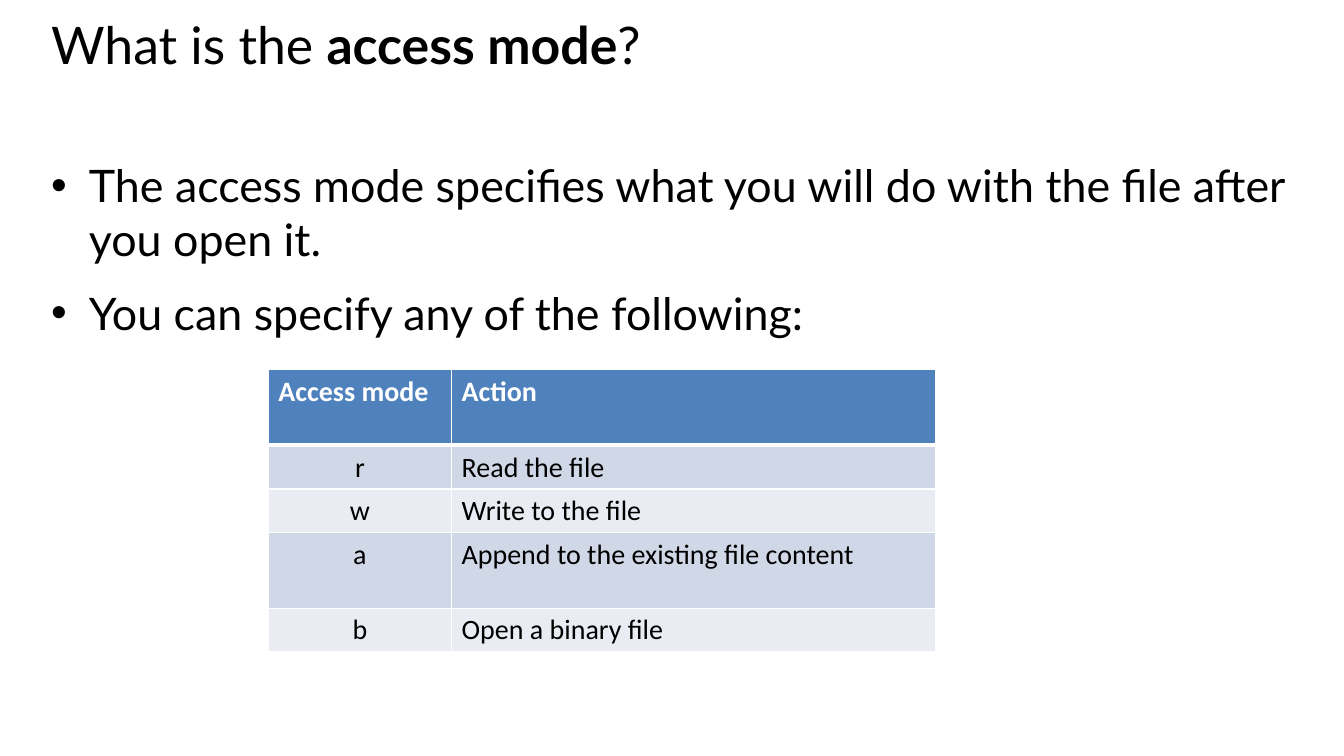
"""Build a slide that explains file access modes."""
from lxml.etree import SubElement
from pptx import Presentation
from pptx.dml.color import RGBColor
from pptx.enum.text import MSO_ANCHOR, PP_ALIGN
from pptx.oxml.ns import qn
from pptx.util import Cm, Pt

TITLE = [("What is the ", False), ("access mode", True), ("?", False)]
POINTS = [
    "The access mode specifies what you will do with the file after you open it.",
    "You can specify any of the following:",
]
MODES = [
    ("Access mode", "Action"),
    ("r", "Read the file"),
    ("w", "Write to the file"),
    ("a", "Append to the existing file content"),
    ("b", "Open a binary file"),
]
COLORS = {"text": "000000", "line": "FFFFFF", "header": "4F81BD",
          "odd": "D0D8E7", "even": "E9ECF3"}
TITLE_BOX = (1.04, 0.51, 32, 2.95)
POINTS_BOX = (1.04, 3.86, 32, 14.71)
MODES_AT = (6.76, 9.32)
COLUMN_WIDTHS = (4.62, 12.2)
ROW_HEIGHTS = (1.9, 1.07, 1.07, 1.9, 1.07)
INDENT = Cm(0.95)
TITLE_FONT = {"name": "Lato", "size": Pt(37)}
POINT_FONT = {"name": "Lato", "size": Pt(32)}
MODE_FONT = {"name": "Calibri", "size": Pt(20)}


def add_run(paragraph, text, font, color="text", bold=False):
    run = paragraph.add_run()
    run.text = text
    for key, value in {**font, "bold": bold}.items():
        setattr(run.font, key, value)
    run.font.color.rgb = RGBColor.from_string(COLORS[color])


def add_frame(slide, box):
    frame = slide.shapes.add_textbox(*map(Cm, box)).text_frame
    frame.word_wrap = True
    frame.vertical_anchor = MSO_ANCHOR.TOP
    return frame


def add_bullet(paragraph):
    props = paragraph._p.get_or_add_pPr()
    props.set("marL", str(INDENT))
    props.set("indent", str(-INDENT))
    SubElement(props, qn("a:buFont"), typeface="Arial")
    SubElement(props, qn("a:buChar"), char="•")


def add_borders(cell, widths):
    props = cell._tc.get_or_add_tcPr()
    for side, width in widths.items():
        line = SubElement(props, qn(f"a:ln{side}"), w=str(Pt(width)))
        fill = SubElement(line, qn("a:solidFill"))
        SubElement(fill, qn("a:srgbClr"), val=COLORS["line"])


def add_modes(slide):
    size = sum(COLUMN_WIDTHS), sum(ROW_HEIGHTS)
    modes = slide.shapes.add_table(len(MODES), len(COLUMN_WIDTHS),
                                   *map(Cm, MODES_AT + size)).table
    for column, width in zip(modes.columns, COLUMN_WIDTHS):
        column.width = Cm(width)
    for r, (row, height) in enumerate(zip(MODES, ROW_HEIGHTS)):
        modes.rows[r].height = Cm(height)
        is_header = r == 0
        band = "header" if is_header else "odd" if r % 2 else "even"
        borders = {"L": 0.96, "R": 0.96, "T": 3 if r == 1 else 0.96,
                   "B": 3 if is_header else 0.96}
        for c, text in enumerate(row):
            cell = modes.cell(r, c)
            add_borders(cell, borders)
            cell.fill.solid()
            cell.fill.fore_color.rgb = RGBColor.from_string(COLORS[band])
            paragraph = cell.text_frame.paragraphs[0]
            centred = c == 0 and not is_header
            paragraph.alignment = PP_ALIGN.CENTER if centred else PP_ALIGN.LEFT
            add_run(paragraph, text, MODE_FONT,
                    "line" if is_header else "text", is_header)


def main():
    deck = Presentation()
    deck.slide_width, deck.slide_height = Cm(33.87), Cm(19.05)
    slide = deck.slides.add_slide(deck.slide_layouts[6])

    title = add_frame(slide, TITLE_BOX).paragraphs[0]
    title.line_spacing = 0.8
    for text, bold in TITLE:
        add_run(title, text, TITLE_FONT, bold=bold)

    points = add_frame(slide, POINTS_BOX)
    for i, text in enumerate(POINTS):
        point = points.add_paragraph() if i else points.paragraphs[0]
        point.space_before = Pt(14)
        add_bullet(point)
        add_run(point, text, POINT_FONT)

    add_modes(slide)
    deck.save("out.pptx")


if __name__ == "__main__":
    main()
